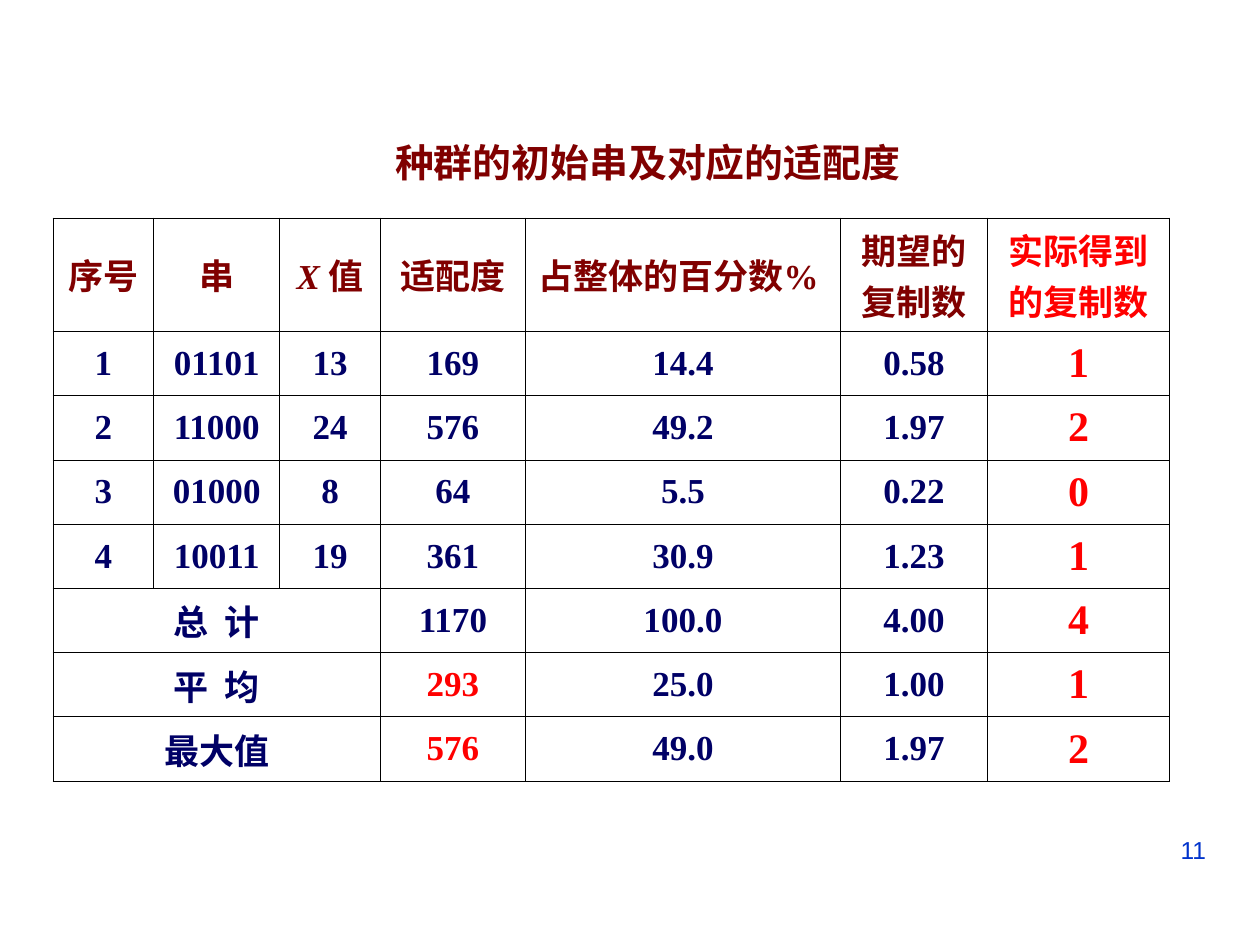
from lxml import etree
from pptx import Presentation
from pptx.dml.color import RGBColor
from pptx.enum.text import MSO_ANCHOR, PP_ALIGN
from pptx.oxml.ns import qn
from pptx.util import Inches, Pt

CENTER, LEFT, RIGHT = PP_ALIGN.CENTER, PP_ALIGN.LEFT, PP_ALIGN.RIGHT
MIDDLE = MSO_ANCHOR.MIDDLE

MAROON, NAVY, RED, BLUE, BLACK = "800000", "000066", "FF0000", "0033CC", "000000"
SERIF, SANS = "Times New Roman", "Arial"

COLUMN_WIDTHS = [0.8, 1, 0.8, 1.15, 2.5, 1.17, 1.44]
HEADER_HEIGHT, ROW_HEIGHT = 0.9, 0.51
HEADERS = ["序号", "串", "X 值", "适配度", "占整体的百分数%", "期望的\n复制数", "实际得到\n的复制数"]
INDIVIDUALS = [
    ["1", "01101", "13", "169", "14.4", "0.58", "1"],
    ["2", "11000", "24", "576", "49.2", "1.97", "2"],
    ["3", "01000", "8", "64", "5.5", "0.22", "0"],
    ["4", "10011", "19", "361", "30.9", "1.23", "1"],
]
SUMMARIES = [
    ["总  计", "", "", "1170", "100.0", "4.00", "4"],
    ["平  均", "", "", "293", "25.0", "1.00", "1"],
    ["最大值", "", "", "576", "49.0", "1.97", "2"],
]
FITNESS_COLUMN, PERCENT_COLUMN, COPIES_COLUMN = 3, 4, 6
HIGHLIGHTED_SUMMARIES = ("平  均", "最大值")


def color(hex_string):
    return RGBColor.from_string(hex_string)


def format_text(text_frame, font_name, size, hex_color, bold, alignment):
    for paragraph in text_frame.paragraphs:
        paragraph.alignment = alignment
        for run in paragraph.runs:
            run.font.name = font_name
            run.font.size = Pt(size)
            run.font.bold = bold
            run.font.color.rgb = color(hex_color)


def set_borders(cell, width, hex_color):
    properties = cell._tc.get_or_add_tcPr()
    for position, tag in enumerate(("a:lnL", "a:lnR", "a:lnT", "a:lnB")):
        line = etree.Element(qn(tag), w=str(int(Pt(width))))
        fill = etree.SubElement(line, qn("a:solidFill"))
        etree.SubElement(fill, qn("a:srgbClr"), val=hex_color)
        properties.insert(position, line)


def add_text(slide, box, text, font_name, size, hex_color, bold, alignment):
    shape = slide.shapes.add_textbox(*map(Inches, box))
    text_frame = shape.text_frame
    text_frame.word_wrap = True
    text_frame.text = text
    format_text(text_frame, font_name, size, hex_color, bold, alignment)
    return text_frame


def add_title(slide, box):
    text_frame = add_text(slide, box, "种群的初始串及对应的适配度 ", SANS, 22.2, MAROON, True, CENTER)
    paragraph = text_frame.paragraphs[0]
    paragraph.line_spacing = 0.6
    paragraph.space_before = Pt(6)


def cell_color(row_index, column_index, label):
    if column_index == COPIES_COLUMN:
        return RED
    if row_index == 0:
        return MAROON
    if column_index == FITNESS_COLUMN and label in HIGHLIGHTED_SUMMARIES:
        return RED
    return NAVY


def fill_cell(cell, text, size, hex_color, alignment):
    cell.text = text
    cell.vertical_anchor = MIDDLE
    cell.fill.background()
    set_borders(cell, 0.45, BLACK)
    format_text(cell.text_frame, SERIF, size, hex_color, True, alignment)


def split_variable(cell):
    paragraph = cell.text_frame.paragraphs[0]
    variable, word = cell.text.split(" ")
    paragraph.runs[0].text = variable + " "
    paragraph.add_run().text = word
    format_text(cell.text_frame, SERIF, 20, MAROON, True, CENTER)
    paragraph.runs[0].font.italic = True


def add_fitness_table(slide, left, top):
    rows = [HEADERS] + INDIVIDUALS + SUMMARIES
    heights = [HEADER_HEIGHT] + [ROW_HEIGHT] * (len(rows) - 1)
    frame = slide.shapes.add_table(
        len(rows), len(COLUMN_WIDTHS), Inches(left), Inches(top),
        Inches(sum(COLUMN_WIDTHS)), Inches(sum(heights)))
    table = frame.table
    table.first_row = table.horz_banding = False
    for column, width in zip(table.columns, COLUMN_WIDTHS):
        column.width = Inches(width)
    for row_index, values in enumerate(rows):
        table.rows[row_index].height = Inches(heights[row_index])
        for column_index, text in enumerate(values):
            is_header = row_index == 0
            size = 24 if column_index == COPIES_COLUMN and not is_header else 20
            alignment = LEFT if is_header and column_index == PERCENT_COLUMN else CENTER
            fill_cell(table.cell(row_index, column_index), text, size,
                      cell_color(row_index, column_index, values[0]), alignment)
        if values in SUMMARIES:
            table.cell(row_index, 0).merge(table.cell(row_index, FITNESS_COLUMN - 1))
    split_variable(table.cell(0, 2))


def main():
    presentation = Presentation()
    presentation.slide_width, presentation.slide_height = Inches(10), Inches(7.5)
    slide = presentation.slides.add_slide(presentation.slide_layouts[6])
    add_text(slide, (7.17, 6.58, 2.5, 0.52), "11", SANS, 14, BLUE, False, RIGHT)
    add_fitness_table(slide, 0.42, 1.73)
    add_title(slide, (2.42, 1.18, 5.51, 0.34))
    presentation.save("out.pptx")


if __name__ == "__main__":
    main()
